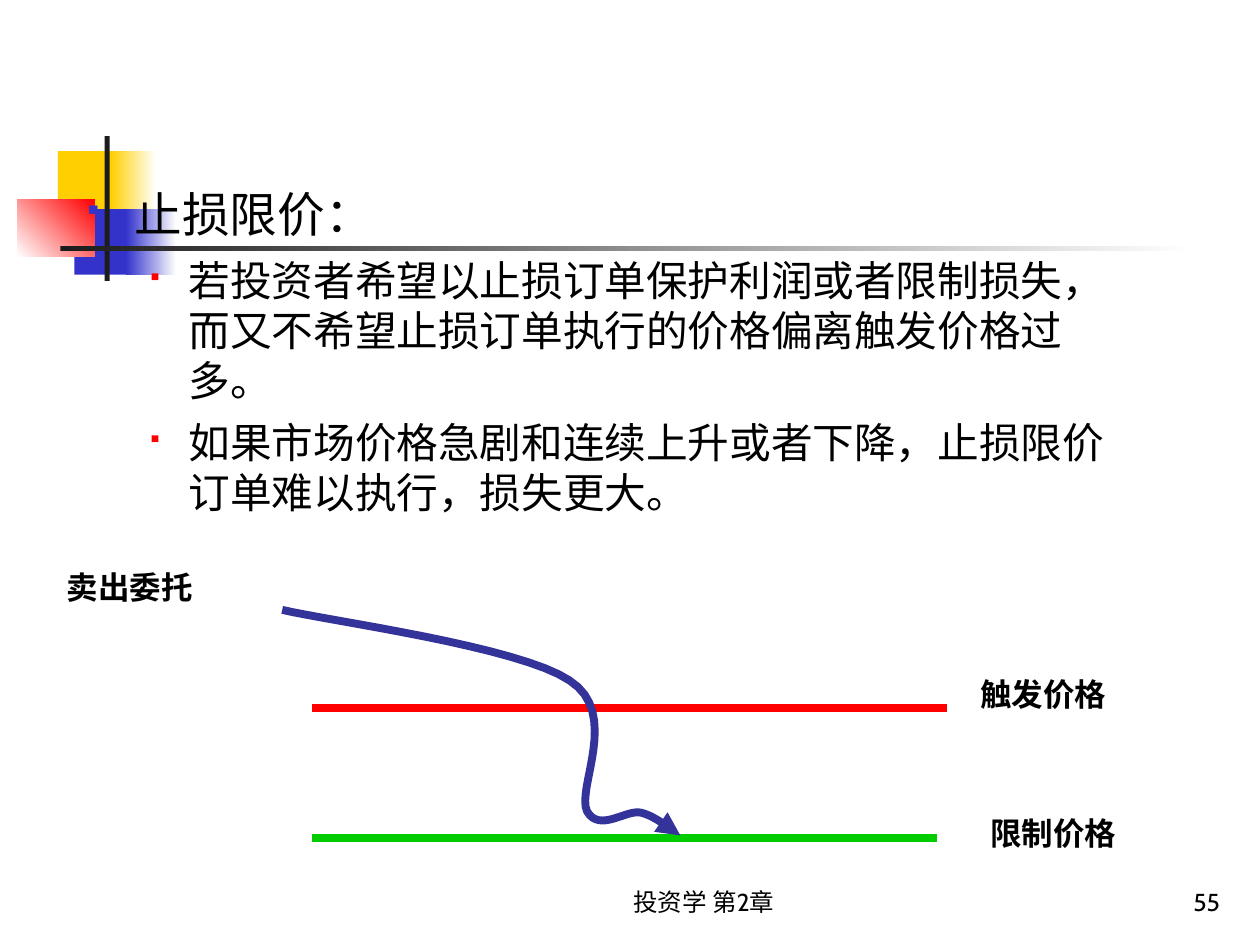
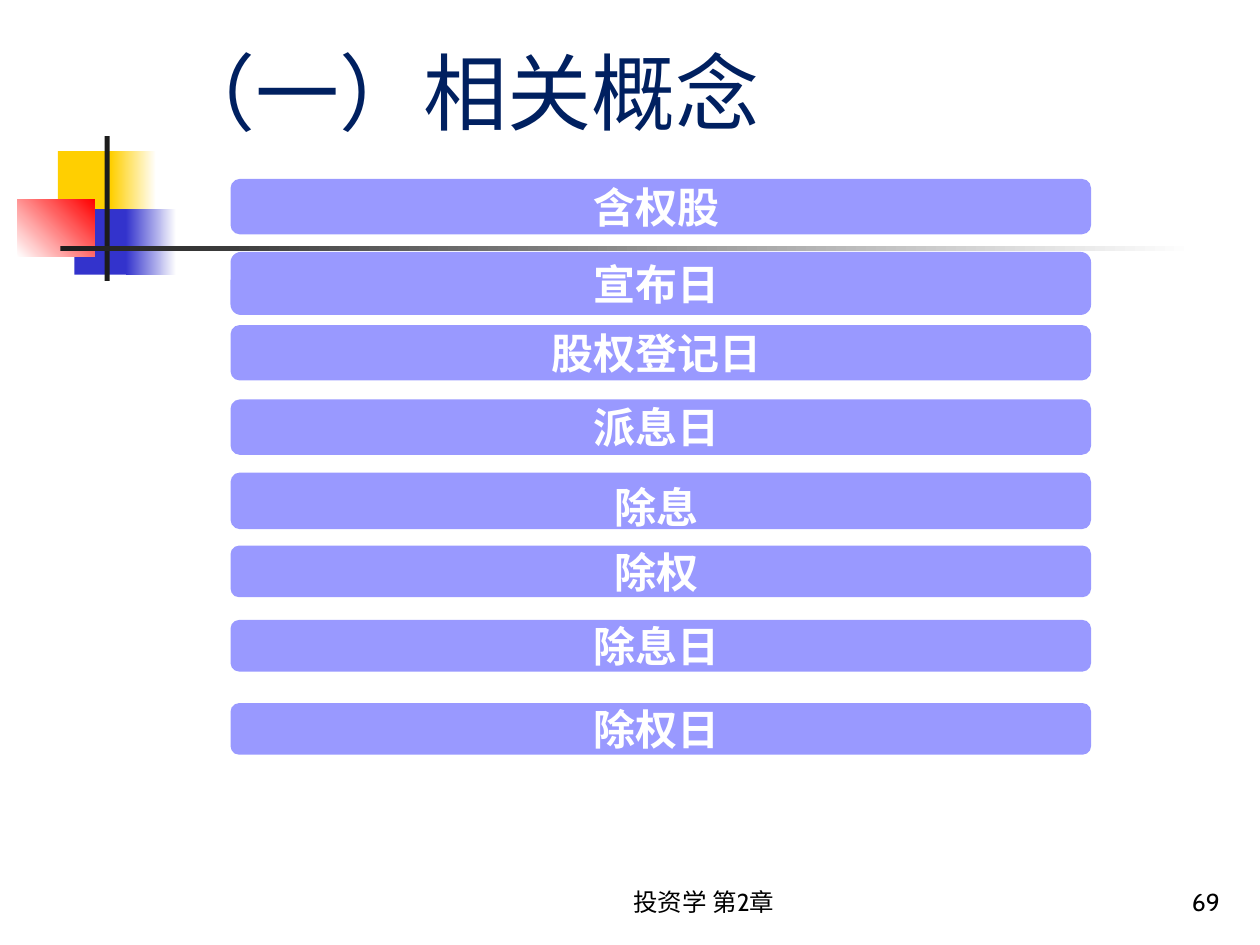
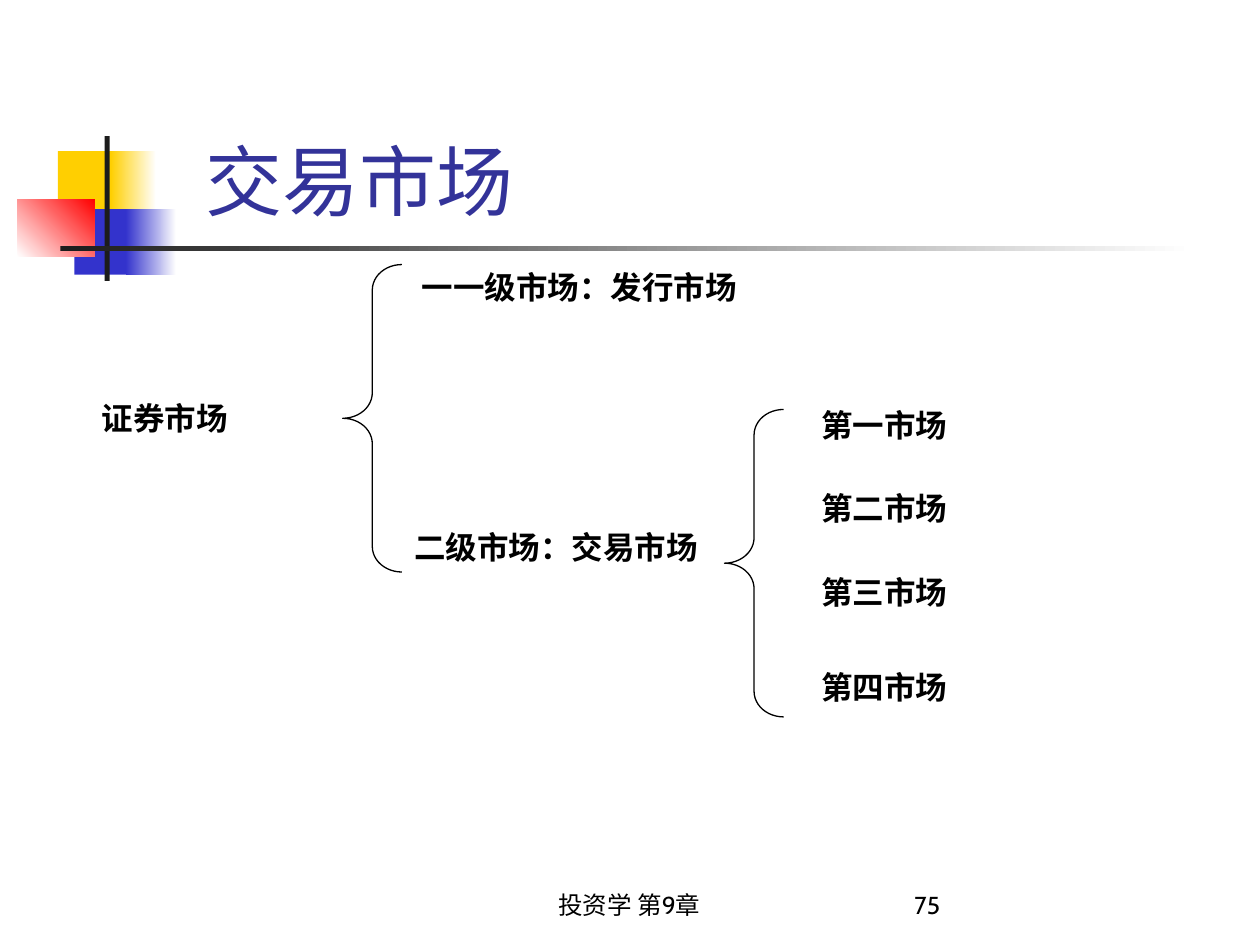
from lxml.etree import SubElement
from pptx import Presentation
from pptx.dml.color import RGBColor
from pptx.enum.lang import MSO_LANGUAGE_ID
from pptx.enum.shapes import MSO_CONNECTOR, MSO_SHAPE
from pptx.enum.text import MSO_ANCHOR, PP_ALIGN
from pptx.oxml.ns import qn
from pptx.util import Inches, Pt

# Shared style
FONT, HEAD_FONT = "Cabin", "Noto Sans CJK SC"
BLACK, WHITE, INK = "000000", "FFFFFF", "1C1C1C"
YELLOW, BLUE, RED, GREEN = "FFCF01", "3333CC", "FF0000", "00CC00"
NAVY, INDIGO, LILAC = "002060", "333399", "9999FF"
TITLE_ONLY, BLANK = 5, 6

# Corner blocks and rule: left, top, width, height, colours, gradient angle
ORNAMENT = [
    (0.46, 1.2, 0.48, 0.52, [YELLOW], 0),
    (0.88, 1.2, 0.36, 0.52, [YELLOW, WHITE], 0),
    (0.59, 1.66, 0.46, 0.52, [BLUE], 0),
    (1, 1.66, 0.4, 0.52, [BLUE, WHITE], 0),
    (0.14, 1.58, 0.61, 0.46, [WHITE, RED], 45),
    (0.83, 1.08, 0.04, 1.15, [INK], 0),
    (0.48, 1.95, 9, 0.04, [INK, WHITE], 0),
]


def rgb(value):
    return RGBColor.from_string(value)


def inches(*lengths):
    return [Inches(length) for length in lengths]


def style(para, size, color=BLACK, bold=False, font=FONT):
    for span in para.runs:
        span.font.size = Pt(size)
        span.font.bold = bold
        span.font.color.rgb = rgb(color)
        span.font.name = font
        span.font.language_id = MSO_LANGUAGE_ID.SIMPLIFIED_CHINESE
        SubElement(span.font._element, qn("a:ea"), typeface=FONT)


def add_block(page, kind, at, colors, angle=0):
    block = page.shapes.add_shape(kind, *inches(*at))
    block.shadow.inherit = False
    block.line.fill.background()
    if len(colors) == 1:
        block.fill.solid()
        block.fill.fore_color.rgb = rgb(colors[0])
    else:
        block.fill.gradient()
        block.fill.gradient_angle = angle
        for stop, color in zip(block.fill.gradient_stops, colors):
            stop.color.rgb = rgb(color)
    return block


def add_text(page, at, text, size=18, bold=True, align=PP_ALIGN.LEFT,
             anchor=MSO_ANCHOR.TOP):
    box = page.shapes.add_textbox(*inches(*at))
    frame = box.text_frame
    frame.word_wrap = True
    frame.vertical_anchor = anchor
    frame.text = text
    para = frame.paragraphs[0]
    para.alignment = align
    style(para, size, bold=bold)


def add_footer(page, at, text, align):
    add_text(page, at, text, 14, False, align, MSO_ANCHOR.BOTTOM)


def new_page(deck, layout):
    page = deck.slides.add_slide(deck.slide_layouts[layout])
    for *at, colors, angle in ORNAMENT:
        add_block(page, MSO_SHAPE.RECTANGLE, at, colors, angle)
    return page


def chapter_two_footer(page, number):
    add_footer(page, (7.7, 6.82, 2.08, 0.5), number, PP_ALIGN.RIGHT)
    add_footer(page, (4, 6.82, 3.17, 0.5), "投资学 第2章", PP_ALIGN.CENTER)


def set_title(page, at, text, size, color, font=FONT, inset=0.1):
    title = page.shapes.title
    title.left, title.top, title.width, title.height = inches(*at)
    frame = title.text_frame
    frame.text = text
    frame.margin_left = Inches(inset)
    frame.vertical_anchor = MSO_ANCHOR.BOTTOM
    frame.paragraphs[0].alignment = PP_ALIGN.LEFT
    style(frame.paragraphs[0], size, color, font=font)


def add_bullet(para, margin, hanging, color, percent):
    props = para._p.get_or_add_pPr()
    props.set("marL", str(Inches(margin)))
    props.set("indent", str(-Inches(hanging)))
    props.set("hangingPunct", "0")
    SubElement(SubElement(props, qn("a:buClr")), qn("a:srgbClr"), val=color)
    SubElement(props, qn("a:buSzPct"), val=str(percent * 1000))
    # The section sign is a small square in this symbol font
    SubElement(props, qn("a:buFont"), typeface="Wingdings", charset="2")
    SubElement(props, qn("a:buChar"), char="§")


def add_outline(page, at, head, points):
    box = page.shapes.add_textbox(*inches(*at))
    frame = box.text_frame
    frame.word_wrap = True
    frame.text = "\n".join([head, *points])
    first, *rest = frame.paragraphs
    add_bullet(first, 0.38, 0.38, BLUE, 60)
    style(first, 27.2)
    for para in rest:
        para.level = 1
        add_bullet(para, 0.81, 0.31, RED, 55)
        para.space_before = Pt(7)
        style(para, 23.8)


def add_level(page, left, right, height, color):
    line = page.shapes.add_connector(
        MSO_CONNECTOR.STRAIGHT, *inches(left, height, right, height))
    line.line.color.rgb = rgb(color)
    line.line.width = Pt(4.5)
    SubElement(line.element.spPr, qn("a:effectLst"))


def curve_points(start, segments, steps=16):
    """Points along joined cubic curves, each given by two controls and an end."""
    for first, second, end in segments:
        for step in range(1, steps + 1):
            t = step / steps
            u = 1 - t
            weights = (u ** 3, 3 * u * u * t, 3 * u * t * t, t ** 3)
            corners = (start, first, second, end)
            yield tuple(Inches(sum(w * c[axis] for w, c in zip(weights, corners)))
                        for axis in (0, 1))
        start = end


def add_curve_arrow(page, start, segments, color):
    builder = page.shapes.build_freeform(*inches(*start))
    builder.add_line_segments(list(curve_points(start, segments)), close=False)
    curve = builder.convert_to_shape()
    curve.shadow.inherit = False
    curve.fill.background()
    curve.line.color.rgb = rgb(color)
    curve.line.width = Pt(4.5)
    SubElement(curve.element.spPr.find(qn("a:ln")), qn("a:tailEnd"), type="triangle")


def add_bar(page, top, height, text, top_inset):
    bar = add_block(page, MSO_SHAPE.FLOWCHART_ALTERNATE_PROCESS,
                    (1.83, top, 6.83, height), [LILAC])
    frame = bar.text_frame
    frame.word_wrap = False
    frame.margin_top = Inches(top_inset)
    frame.vertical_anchor = MSO_ANCHOR.MIDDLE
    frame.text = text
    frame.paragraphs[0].alignment = PP_ALIGN.CENTER
    style(frame.paragraphs[0], 24, WHITE, True, HEAD_FONT)


def add_brace(page, left, top):
    brace = page.shapes.add_shape(MSO_SHAPE.LEFT_BRACE, *inches(left, top, 0.47, 2.44))
    brace.shadow.inherit = False
    brace.fill.background()
    brace.line.color.rgb = rgb(BLACK)
    brace.line.width = Pt(0.75)
    brace.adjustments[0] = 0.43


def stop_limit_page(deck):
    page = new_page(deck, BLANK)
    add_outline(page, (0.59, 1.42, 8.58, 2.89), "止损限价：", [
        "若投资者希望以止损订单保护利润或者限制损失，而又不希望止损订单执行的价格偏离触发价格过多。",
        "如果市场价格急剧和连续上升或者下降，止损限价订单难以执行，损失更大。",
    ])
    # Price chart
    add_level(page, 2.48, 7.52, 5.62, RED)
    add_level(page, 2.48, 7.44, 6.65, GREEN)
    add_text(page, (7.68, 5.31, 1.81, 0.4), "触发价格")
    add_text(page, (7.76, 6.41, 1.81, 0.4), "限制价格")
    add_curve_arrow(page, (2.24, 4.84), [
        ((2.62, 4.93), (4.12, 5.13), (4.52, 5.4)),
        ((4.93, 5.66), (4.57, 6.26), (4.66, 6.44)),
        ((4.76, 6.61), (4.97, 6.42), (5.09, 6.45)),
        ((5.21, 6.48), (5.33, 6.59), (5.4, 6.63)),
    ], INDIGO)
    add_text(page, (0.43, 4.46, 1.97, 0.4), "卖出委托")
    chapter_two_footer(page, "55")


def concepts_page(deck):
    page = new_page(deck, TITLE_ONLY)
    set_title(page, (1.26, 0.24, 7.99, 0.93), "（一）相关概念", 48, NAVY, HEAD_FONT)
    for top, height, text, top_inset in [
        (1.42, 0.44, "含权股 ", 0.05),
        (2, 0.5, "宣布日 ", 0.05),
        (2.58, 0.44, "股权登记日 ", 0.05),
        (3.17, 0.44, "派息日 ", 0.05),
        (3.75, 0.45, "除息 ", 0.14),
        (4.33, 0.41, "除权 ", 0.05),
        (4.92, 0.41, "除息日 ", 0.05),
        (5.58, 0.41, "除权日 ", 0.05),
    ]:
        add_bar(page, top, height, text, top_inset)
    chapter_two_footer(page, "69")


def markets_page(deck):
    page = new_page(deck, TITLE_ONLY)
    set_title(page, (1.26, 1.09, 8.52, 0.75), "交易市场", 44, INDIGO, inset=0.37)
    # Market tree
    add_brace(page, 2.72, 2.1)
    add_text(page, (0.71, 3.12, 1.89, 0.4), "证券市场")
    add_text(page, (3.25, 2.08, 4.25, 0.4), "一一级市场：发行市场")
    add_text(page, (3.19, 4.14, 3.94, 0.4), "二级市场：交易市场")
    add_brace(page, 5.75, 3.25)
    for top, rank in zip((3.17, 3.83, 4.5, 5.25), "一二三四"):
        add_text(page, (6.42, top, 2.13, 0.4), f"第{rank}市场")
    add_footer(page, (3.41, 6.83, 3.17, 0.52), "投资学 第9章", PP_ALIGN.CENTER)
    add_footer(page, (7.16, 6.83, 2.5, 0.52), "75", PP_ALIGN.LEFT)


def main():
    deck = Presentation()
    deck.slide_width, deck.slide_height = inches(10, 7.5)
    stop_limit_page(deck)
    concepts_page(deck)
    markets_page(deck)
    deck.save("out.pptx")


if __name__ == "__main__":
    main()
